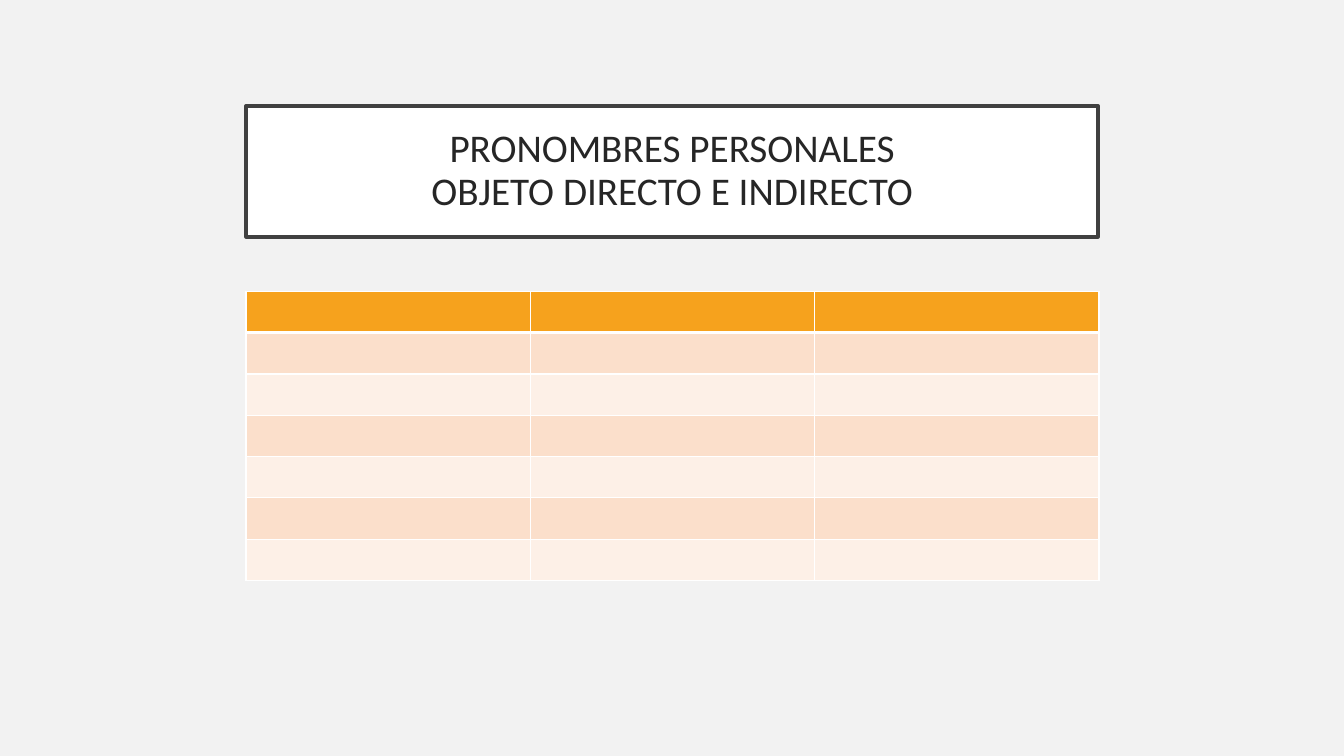
from lxml.etree import SubElement
from pptx import Presentation
from pptx.dml.color import RGBColor
from pptx.enum.shapes import MSO_SHAPE
from pptx.enum.text import MSO_ANCHOR, PP_ALIGN
from pptx.oxml.ns import qn
from pptx.util import Inches, Pt

COLORS = {
    "background": "F2F2F2",
    "white": "FFFFFF",
    "outline": "404040",
    "text": "262626",
    "header": "F6A21D",
    "dark_band": "FBDFCB",
    "light_band": "FDF0E7",
}


def color(name):
    return RGBColor.from_string(COLORS[name])


def apply_format(target, values):
    for name, value in values.items():
        setattr(target, name, value)


def paint(fill, name):
    fill.solid()
    fill.fore_color.rgb = color(name)


class PronounSlide:
    font = {"name": "Calibri", "size": Pt(28)}
    paragraph = {"alignment": PP_ALIGN.CENTER, "line_spacing": 0.9}
    frame = {
        "word_wrap": True,
        "vertical_anchor": MSO_ANCHOR.MIDDLE,
        "margin_left": Inches(0.2),
        "margin_right": Inches(0.2),
        "margin_top": Inches(0.2),
        "margin_bottom": Inches(0.2),
    }

    def __init__(self, deck):
        self.page = deck.slides.add_slide(deck.slide_layouts[6])
        paint(self.page.background.fill, "background")

    def title(self, lines, left, top, width, height):
        box = self.page.shapes.add_shape(
            MSO_SHAPE.RECTANGLE, Inches(left), Inches(top), Inches(width), Inches(height)
        )
        box.shadow.inherit = False
        paint(box.fill, "white")
        paint(box.line.fill, "outline")
        box.line.width = Pt(2.5)
        apply_format(box.text_frame, self.frame)
        box.text_frame.text = "\n".join(lines)
        for para in box.text_frame.paragraphs:
            apply_format(para, self.paragraph)
            for span in para.runs:
                apply_format(span.font, self.font)
                span.font.color.rgb = color("text")

    def border(self, cell, side, width):
        properties = cell._tc.get_or_add_tcPr()
        line = SubElement(properties, qn(f"a:{side}"), w=str(Pt(width)))
        fill = SubElement(line, qn("a:solidFill"))
        SubElement(fill, qn("a:srgbClr"), val=COLORS["white"])

    def table(self, rows, columns, left, top, column_width, row_height):
        grid = self.page.shapes.add_table(
            rows, columns, Inches(left), Inches(top),
            Inches(columns * column_width), Inches(rows * row_height),
        ).table
        for column in grid.columns:
            column.width = Inches(column_width)
        for index, row in enumerate(grid.rows):
            row.height = Inches(row_height)
            band = "dark_band" if index % 2 else "light_band"
            widths = {
                "lnL": 1,
                "lnR": 1,
                "lnT": 3 if index == 1 else 1,
                "lnB": 3 if index == 0 else 1,
            }
            for cell in row.cells:
                for side, width in widths.items():
                    self.border(cell, side, width)
                paint(cell.fill, "header" if index == 0 else band)


def main():
    deck = Presentation()
    apply_format(deck, {"slide_width": Inches(13.33), "slide_height": Inches(7.5)})
    slide = PronounSlide(deck)
    slide.title(
        ["PRONOMBRES PERSONALES", "OBJETO DIRECTO E INDIRECTO"],
        left=2.44, top=1.05, width=8.45, height=1.3,
    )
    slide.table(rows=7, columns=3, left=2.44, top=2.89, column_width=2.82, row_height=0.41)
    deck.save("out.pptx")


if __name__ == "__main__":
    main()
